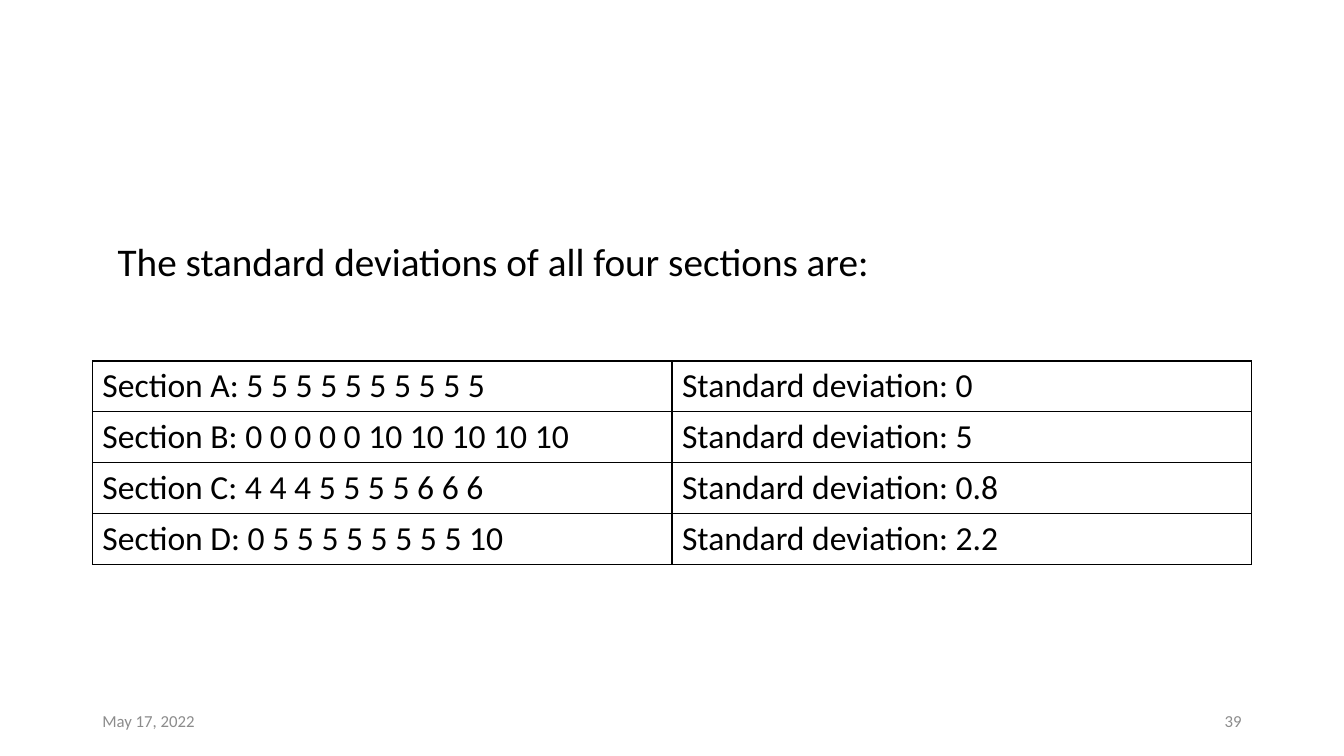
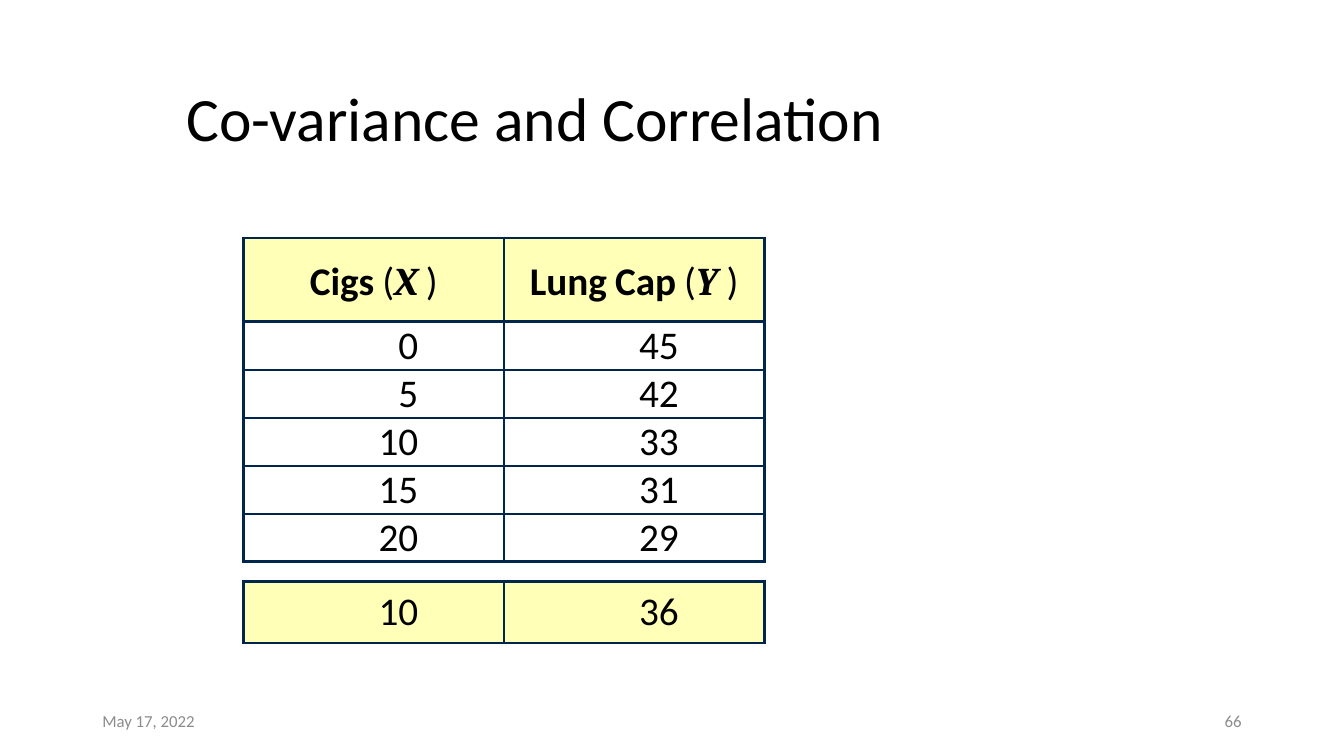
from dataclasses import dataclass

from lxml import etree
from pptx import Presentation
from pptx.dml.color import RGBColor
from pptx.enum.text import MSO_ANCHOR, PP_ALIGN
from pptx.oxml.ns import qn
from pptx.slide import Slide
from pptx.table import _Cell
from pptx.text.text import Font
from pptx.util import Pt

LEFT, CENTER, RIGHT = PP_ALIGN.LEFT, PP_ALIGN.CENTER, PP_ALIGN.RIGHT
TOP, MIDDLE, BOTTOM = MSO_ANCHOR.TOP, MSO_ANCHOR.MIDDLE, MSO_ANCHOR.BOTTOM

BLACK, GREY, NAVY, CREAM = "000000", "8C8C8C", "00264C", "FFFFB8"
BODY_FONT, SYMBOL_FONT, SPACE_FONT = "Calibri", "Cambria", "Times New Roman"
THICK, THIN = 2.25, 1.5
EMPTY_TEXT_SIZE = 8


@dataclass(frozen=True)
class Span:
    text: str
    size: float = 28
    font: str = BODY_FONT
    color: str = BLACK
    bold: bool = False
    italic: bool = False


@dataclass(frozen=True)
class CellStyle:
    align: PP_ALIGN = LEFT
    anchor: MSO_ANCHOR = MIDDLE
    margins: tuple[float, float, float, float] = (7.2, 3.6, 7.2, 3.6)


@dataclass(frozen=True)
class Row:
    height: float
    cells: tuple[tuple[Span, ...], ...]
    style: CellStyle
    line_color: str
    top: float
    bottom: float
    outer: float
    inner: float
    fill: str | None = None


def rgb(color: str) -> RGBColor:
    return RGBColor.from_string(color)


def style_font(font: Font, span: Span) -> None:
    font.name = span.font
    font.size = Pt(span.size)
    font.bold = span.bold
    font.italic = span.italic
    font.color.rgb = rgb(span.color)


def add_text(slide: Slide, left: float, top: float, width: float, height: float,
             span: Span, align: PP_ALIGN = LEFT, anchor: MSO_ANCHOR = MIDDLE,
             line_spacing: float = 1.0) -> None:
    shape = slide.shapes.add_textbox(Pt(left), Pt(top), Pt(width), Pt(height))
    frame = shape.text_frame
    frame.word_wrap = True
    frame.vertical_anchor = anchor
    paragraph = frame.paragraphs[0]
    paragraph.text = span.text
    paragraph.alignment = align
    paragraph.line_spacing = line_spacing
    style_font(paragraph.font, span)


def set_border(cell: _Cell, side: str, width: float, color: str) -> None:
    properties = cell._tc.get_or_add_tcPr()
    line = etree.SubElement(properties, qn(f"a:ln{side}"), w=str(Pt(width)))
    if width:
        fill = etree.SubElement(line, qn("a:solidFill"))
        etree.SubElement(fill, qn("a:srgbClr"), val=color)
    else:
        etree.SubElement(line, qn("a:noFill"))


def fill_cell(cell: _Cell, spans: tuple[Span, ...], row: Row,
              is_first: bool, is_last: bool) -> None:
    sides = {
        "L": row.outer if is_first else row.inner,
        "R": row.outer if is_last else row.inner,
        "T": row.top,
        "B": row.bottom,
    }
    for side, width in sides.items():
        set_border(cell, side, width, row.line_color)
    if row.fill:
        cell.fill.solid()
        cell.fill.fore_color.rgb = rgb(row.fill)
    else:
        cell.fill.background()
    cell.margin_left, cell.margin_top, cell.margin_right, cell.margin_bottom = map(
        Pt, row.style.margins)
    cell.vertical_anchor = row.style.anchor
    paragraph = cell.text_frame.paragraphs[0]
    paragraph.alignment = row.style.align
    if len(spans) == 1:
        paragraph.text = spans[0].text
        style_font(paragraph.font, spans[0])
    elif spans:
        for span in spans:
            run = paragraph.add_run()
            run.text = span.text
            style_font(run.font, span)
    else:
        etree.SubElement(paragraph._p, qn("a:endParaRPr"), sz=str(EMPTY_TEXT_SIZE * 100))


def add_table(slide: Slide, left: float, top: float, column_width: float,
              rows: list[Row]) -> None:
    column_count = len(rows[0].cells)
    height = sum(row.height for row in rows)
    table = slide.shapes.add_table(
        len(rows), column_count, Pt(left), Pt(top),
        Pt(column_width * column_count), Pt(height)).table
    table.first_row = False
    table.horz_banding = False
    for column in table.columns:
        column.width = Pt(column_width)
    for row_index, row in enumerate(rows):
        table.rows[row_index].height = Pt(row.height)
        for column_index, spans in enumerate(row.cells):
            fill_cell(table.cell(row_index, column_index), spans, row,
                      column_index == 0, column_index == column_count - 1)


def add_footer(slide: Slide, number: int) -> None:
    add_text(slide, 66, 500.4, 216, 28.8, Span("May 17, 2022", 12, color=GREY))
    add_text(slide, 678, 500.4, 216, 28.8, Span(str(number), 12, color=GREY), RIGHT)


def build_deviation_slide(slide: Slide) -> None:
    add_text(slide, 77, 166.3, 700, 41,
             Span("The standard deviations of all four sections are:"), anchor=TOP)
    sections = [
        ("A: 5 5 5 5 5 5 5 5 5 5", "0"),
        ("B: 0 0 0 0 0 10 10 10 10 10", "5"),
        ("C: 4 4 4 5 5 5 5 6 6 6", "0.8"),
        ("D: 0 5 5 5 5 5 5 5 5 10", "2.2"),
    ]
    rows = [
        Row(36.4, ((Span(f"Section {scores}", 24),),
                   (Span(f"Standard deviation: {deviation}", 24),)),
            CellStyle(), BLACK, top=1, bottom=1, outer=1, inner=1)
        for scores, deviation in sections
    ]
    add_table(slide, 66, 257.8, 414, rows)
    add_footer(slide, 39)


def heading(words: list[str], symbol: str) -> tuple[Span, ...]:
    space = Span(" ", 23, SPACE_FONT, NAVY, bold=True)
    spans = [part for word in words for part in (Span(word, bold=True), space)]
    variable = Span(f"{symbol} ", font=SYMBOL_FONT, bold=True, italic=True)
    return (*spans, Span("("), variable, Span(")"))


def build_correlation_slide(slide: Slide) -> None:
    add_text(slide, 126, 34.6, 818, 104.4, Span("Co-variance and Correlation", 44),
             line_spacing=0.9)
    header_style = CellStyle(CENTER, BOTTOM, (0, 0, 0, 0))
    number_style = CellStyle(RIGHT, MIDDLE, (0, 0, 61.2, 0))
    pairs = [(0, 45), (5, 42), (10, 33), (15, 31), (20, 29)]
    last = len(pairs) - 1

    def number_row(height: float, pair: tuple[int, int], top: float, bottom: float,
                   fill: str | None = None) -> Row:
        return Row(height, tuple((Span(str(value)),) for value in pair),
                   number_style, NAVY, top, bottom, THICK, THIN, fill)

    rows = [
        Row(49, (heading(["Cigs"], "X"), heading(["Lung", "Cap"], "Y")),
            header_style, NAVY, THICK, 0, THICK, THIN, CREAM),
        Row(10.8, ((), ()), header_style, NAVY, 0, THICK, THICK, THIN, CREAM),
        *(number_row(34.3, pair, THIN if index else THICK,
                     THICK if index == last else THIN)
          for index, pair in enumerate(pairs)),
        Row(14, ((), ()), header_style, NAVY, THICK, THICK, 0, 0),
        number_row(44, (10, 36), THICK, THICK, CREAM),
    ]
    add_table(slide, 174, 170, 186, rows)
    add_footer(slide, 66)


def main() -> None:
    presentation = Presentation()
    presentation.slide_width = Pt(960)
    presentation.slide_height = Pt(540)
    blank_layout = presentation.slide_layouts[6]
    for build in (build_deviation_slide, build_correlation_slide):
        build(presentation.slides.add_slide(blank_layout))
    presentation.save("out.pptx")


if __name__ == "__main__":
    main()
